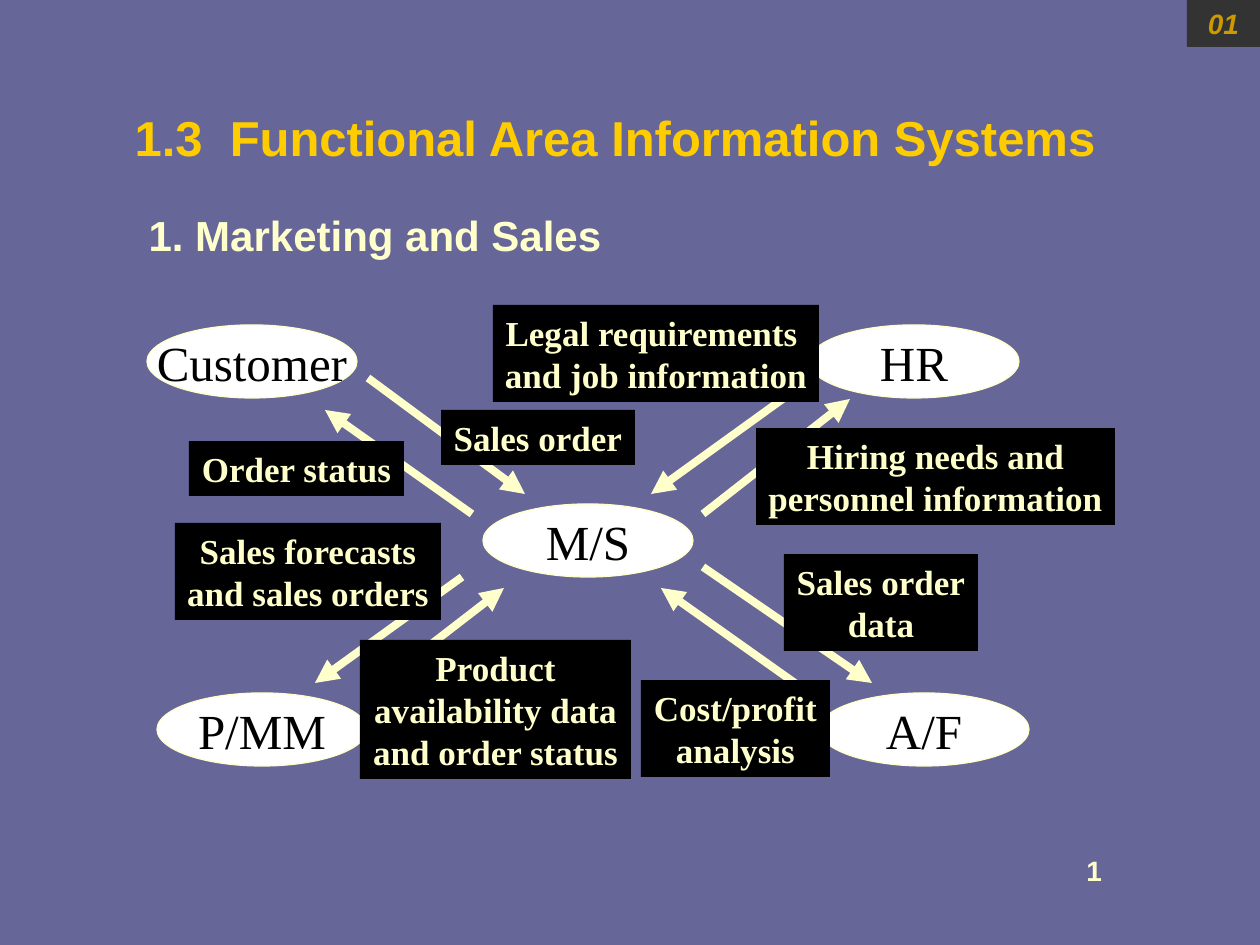
from lxml import etree
from pptx import Presentation
from pptx import util as u
from pptx.dml.color import RGBColor
from pptx.enum import shapes, text
from pptx.oxml.ns import qn

PX = 914400 // 126
COLORS = {"back": "666699", "cream": "FFFFCC", "gold": "FFCC00", "ochre": "CC9900",
          "tab": "333333", "black": "000000", "white": "FFFFFF"}

# Text formats: font values and colour name
HEADING = {"name": "Arial", "size": u.Pt(28), "bold": True}, "gold"
SUBHEADING = {"name": "Arial", "size": u.Pt(24), "bold": True}, "cream"
NUMBER = {"name": "Arial", "size": u.Pt(16), "bold": True}, "cream"
CHAPTER = {"name": "Arial", "size": u.Pt(16), "bold": True, "italic": True}, "ochre"
NODE = {"name": "Times New Roman", "size": u.Pt(28), "bold": False}, "black"
FLOW = {"name": "Times New Roman", "size": u.Pt(20), "bold": True}, "cream"

# Content, in px
NODE_SIZE = 210, 73
NODES = [("Customer", 147, 325), ("HR", 809, 325), ("P/MM", 157, 693),
         ("A/F", 819, 693), ("M/S", 483, 504)]
ARROWS = [(368, 378, 525, 494), (703, 567, 872, 683), (472, 514, 325, 410),
          (809, 693, 661, 588), (798, 388, 651, 494), (462, 577, 315, 683),
          (368, 693, 504, 588), (703, 514, 850, 399)]
LINE_HEIGHT, LABEL_PADDING = 42, 13
LABELS = [  # lines, left, top, width
    (["Sales order"], 441, 410, 194),
    (["Legal requirements ", "and job information"], 493, 305, 326),
    (["Order status"], 189, 441, 215),
    (["Sales forecasts", "and sales orders"], 175, 523, 266),
    (["Product", "availability data", "and order status"], 360, 640, 271),
    (["Cost/profit", "analysis"], 641, 680, 189),
    (["Sales order", "data"], 784, 554, 194),
    (["Hiring needs and", "personnel information"], 756, 428, 359),
]


def color(name):
    return RGBColor.from_string(COLORS[name])


def scaled(*lengths):
    return [length * PX for length in lengths]


def write(box, lines, style, align=text.PP_ALIGN.CENTER,
          anchor=text.MSO_ANCHOR.MIDDLE, wrap=False):
    values, ink = style
    frame = box.text_frame
    frame.word_wrap = wrap
    frame.vertical_anchor = anchor
    for index, line in enumerate(lines):
        para = frame.add_paragraph() if index else frame.paragraphs[0]
        para.alignment = align
        span = para.add_run()
        span.text = line
        for key, value in values.items():
            setattr(span.font, key, value)
        span.font.color.rgb = color(ink)


def add_shape(kind, place, fill, line=None):
    shape = page.shapes.add_shape(kind, *scaled(*place))
    shape.shadow.inherit = False
    shape.fill.solid()
    shape.fill.fore_color.rgb = color(fill)
    if line:
        shape.line.color.rgb = color(line)
        shape.line.width = u.Pt(0.75)
    else:
        shape.line.fill.background()
    return shape


def add_arrow(ends):
    arrow = page.shapes.add_connector(shapes.MSO_CONNECTOR.STRAIGHT, *scaled(*ends))
    arrow.line.color.rgb = color("cream")
    arrow.line.width = u.Pt(4.5)
    etree.SubElement(arrow.line._get_or_add_ln(), qn("a:tailEnd"), type="triangle")
    etree.SubElement(arrow._element.spPr, qn("a:effectLst"))


deck = Presentation()
deck.slide_width, deck.slide_height = scaled(1260, 945)
page = deck.slides.add_slide(deck.slide_layouts[6])
page.background.fill.solid()
page.background.fill.fore_color.rgb = color("back")

# Page number and chapter tab
write(page.shapes.add_textbox(*scaled(1074, 847, 160, 47)), ["1"], NUMBER,
      text.PP_ALIGN.LEFT, text.MSO_ANCHOR.TOP, True)
write(add_shape(shapes.MSO_SHAPE.RECTANGLE, (1187, 0, 73, 47), "tab"), ["01"], CHAPTER,
      anchor=text.MSO_ANCHOR.TOP, wrap=True)

# Headings
write(page.shapes.add_textbox(*scaled(121, 101, 988, 72)),
      ["1.3  Functional Area Information Systems"], HEADING)
write(page.shapes.add_textbox(*scaled(136, 203, 478, 63)),
      ["1. Marketing and Sales"], SUBHEADING)

# Functional areas
for name, left, top in NODES:
    write(add_shape(shapes.MSO_SHAPE.OVAL, (left, top, *NODE_SIZE), "white", "cream"),
          [name], NODE)

# Information flows and their labels
for ends in ARROWS:
    add_arrow(ends)
for lines, left, top, width in LABELS:
    height = LABEL_PADDING + LINE_HEIGHT * len(lines)
    write(add_shape(shapes.MSO_SHAPE.RECTANGLE, (left, top, width, height), "black"),
          lines, FLOW)

deck.save("out.pptx")
